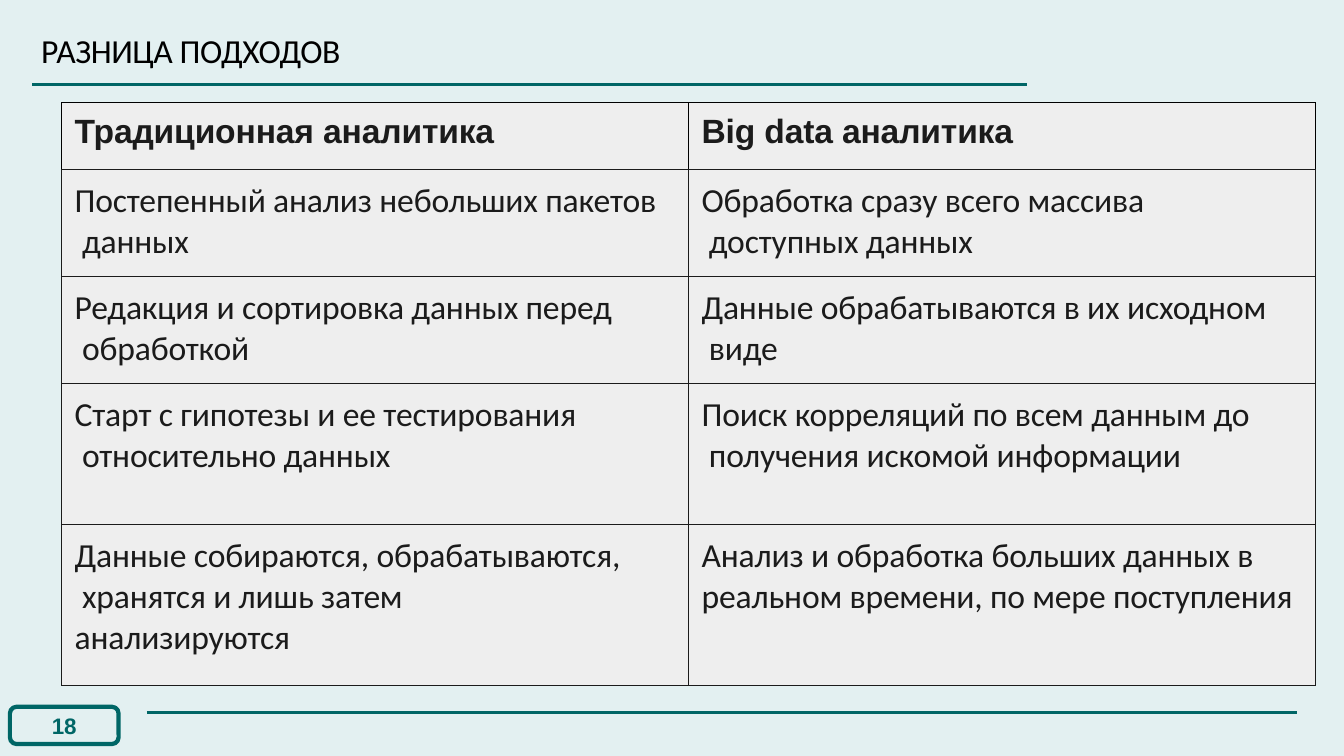
from lxml.etree import SubElement
from pptx import Presentation
from pptx.dml.color import RGBColor
from pptx.enum.shapes import MSO_CONNECTOR as Connector, MSO_SHAPE as Shape
from pptx.enum.text import MSO_ANCHOR as Anchor, PP_ALIGN as Align
from pptx.oxml.ns import qn
from pptx.util import Cm, Pt

MIST = RGBColor(0xE3, 0xF0, 0xF1)
TEAL = RGBColor(0x00, 0x66, 0x66)
BLACK = RGBColor(0x00, 0x00, 0x00)
INK = RGBColor(0x1B, 0x1B, 0x1B)
PALE = RGBColor(0xEE, 0xEE, 0xEE)

ROWS = [
    ("Традиционная аналитика", "Big data аналитика"),
    ("Постепенный анализ небольших пакетов\v данных",
     "Обработка сразу всего массива\v доступных данных"),
    ("Редакция и сортировка данных перед\v обработкой",
     "Данные обрабатываются в их исходном\v виде"),
    ("Старт с гипотезы и ее тестирования\v относительно данных",
     "Поиск корреляций по всем данным до\v получения искомой информации"),
    ("Данные собираются, обрабатываются,\v хранятся и лишь затем\vанализируются",
     "Анализ и обработка больших данных в\vреальном времени, по мере поступления"),
]
ROW_HEIGHTS = [1.68, 2.7, 2.7, 3.56, 4.05]


def write(frame, text, size=24, font="Calibri", color=INK, bold=False,
          spacing=-10, align=Align.LEFT):
    """Put formatted text into the first paragraph of a frame."""
    para = frame.paragraphs[0]
    para.text = text
    para.alignment = align
    for span in para.runs:
        span.font.size = Pt(size)
        span.font.name = font
        span.font.bold = bold
        span.font.color.rgb = color
        span._r.get_or_add_rPr().set("spc", str(spacing))


def clear_margins(frame):
    """Remove the insets of a text frame and centre it vertically."""
    frame.margin_left = frame.margin_right = Cm(0)
    frame.margin_top = frame.margin_bottom = Cm(0)
    frame.vertical_anchor = Anchor.MIDDLE
    frame.word_wrap = True


def add_title(page, text):
    """Add the slide heading."""
    box = page.shapes.add_textbox(Cm(1.04), Cm(0.7), Cm(9.3), Cm(1.1))
    clear_margins(box.text_frame)
    write(box.text_frame, text, color=BLACK, spacing=-30)


def add_rule(page, left, right, top):
    """Add a horizontal teal line."""
    rule = page.shapes.add_connector(
        Connector.STRAIGHT, Cm(left), Cm(top), Cm(right), Cm(top))
    rule.line.color.rgb = TEAL
    rule.line.width = Pt(2.25)
    SubElement(rule._element.spPr, qn("a:effectLst"))


def add_page_badge(page, number):
    """Add the page number in a rounded frame."""
    badge = page.shapes.add_shape(
        Shape.ROUNDED_RECTANGLE, Cm(0.25), Cm(17.81), Cm(2.74), Cm(0.94))
    badge.adjustments[0] = 0.18
    badge.shadow.inherit = False
    badge.fill.background()
    badge.line.color.rgb = TEAL
    badge.line.width = Pt(3)
    clear_margins(badge.text_frame)
    write(badge.text_frame, number, size=16, font="Arial", color=TEAL,
          bold=True, align=Align.CENTER)


def set_borders(cell, color):
    """Draw thin lines on the four sides of a cell."""
    props = cell._tc.get_or_add_tcPr()
    for position, side in enumerate(("lnL", "lnR", "lnT", "lnB")):
        line = props.makeelement(qn(f"a:{side}"), {"w": str(Pt(0.5))})
        fill = SubElement(line, qn("a:solidFill"))
        SubElement(fill, qn("a:srgbClr"), val=str(color))
        props.insert(position, line)


def add_comparison(page):
    """Add the table that compares the two approaches."""
    table = page.shapes.add_table(
        len(ROWS), 2, Cm(1.55), Cm(2.58), Cm(31.6), Cm(sum(ROW_HEIGHTS))).table
    table.horz_banding = False
    for row_index, (texts, height) in enumerate(zip(ROWS, ROW_HEIGHTS)):
        table.rows[row_index].height = Cm(height)
        header = row_index == 0
        for column_index, text in enumerate(texts):
            cell = table.cell(row_index, column_index)
            cell.margin_left, cell.margin_top = Cm(0.33), Cm(0.28)
            cell.margin_right = cell.margin_bottom = Cm(0)
            cell.fill.solid()
            cell.fill.fore_color.rgb = PALE
            set_borders(cell, BLACK if header else INK)
            write(cell.text_frame, text, bold=header,
                  font="Arial" if header else "Calibri")


def main():
    """Build the slide and save the deck."""
    deck = Presentation()
    deck.slide_width, deck.slide_height = Cm(33.87), Cm(19.05)
    page = deck.slides.add_slide(deck.slide_layouts[6])
    page.background.fill.solid()
    page.background.fill.fore_color.rgb = MIST
    add_page_badge(page, "18")
    add_rule(page, 0.81, 25.87, 2.13)
    add_rule(page, 3.7, 32.68, 17.95)
    add_title(page, "РАЗНИЦА ПОДХОДОВ")
    add_comparison(page)
    deck.save("out.pptx")


if __name__ == "__main__":
    main()
